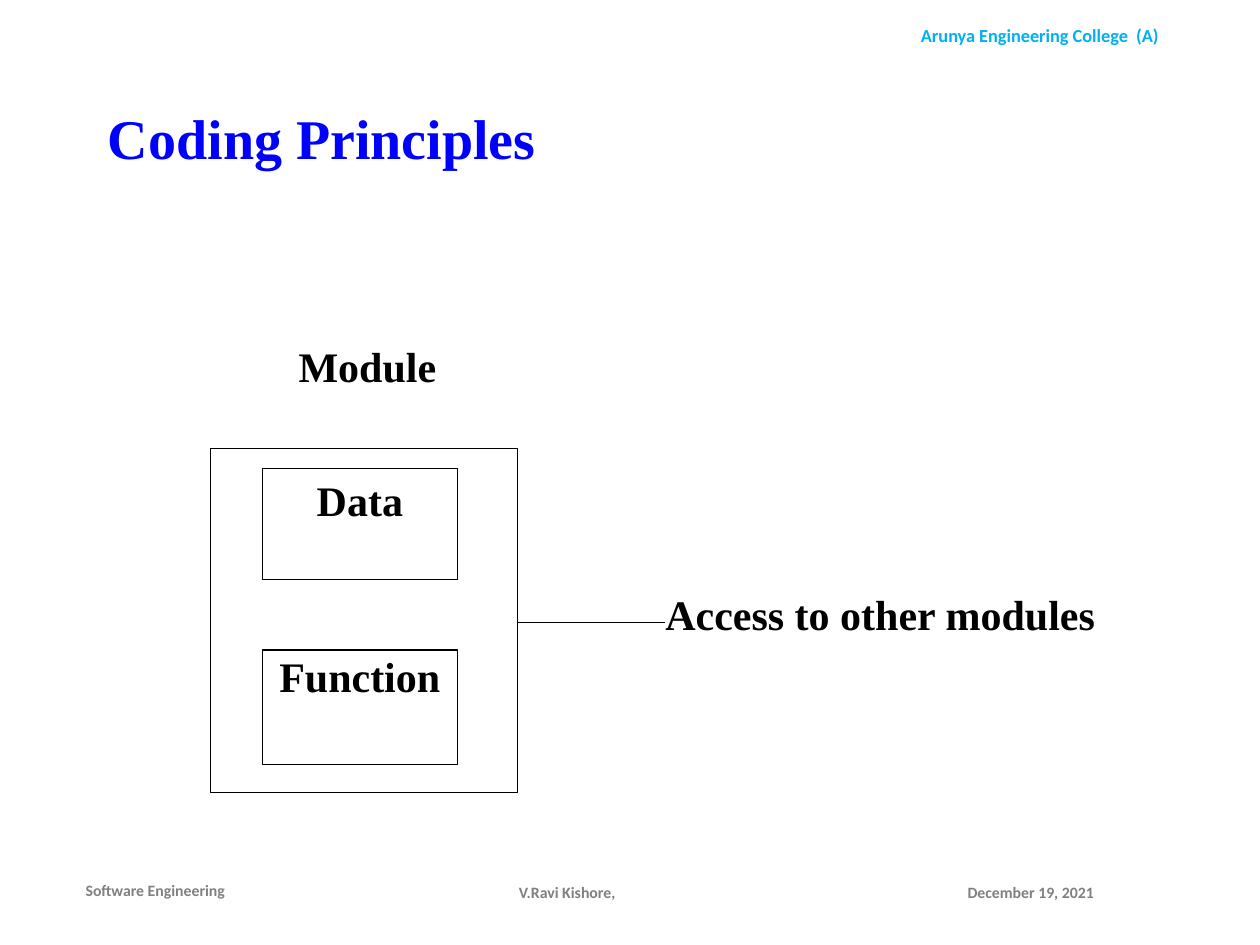
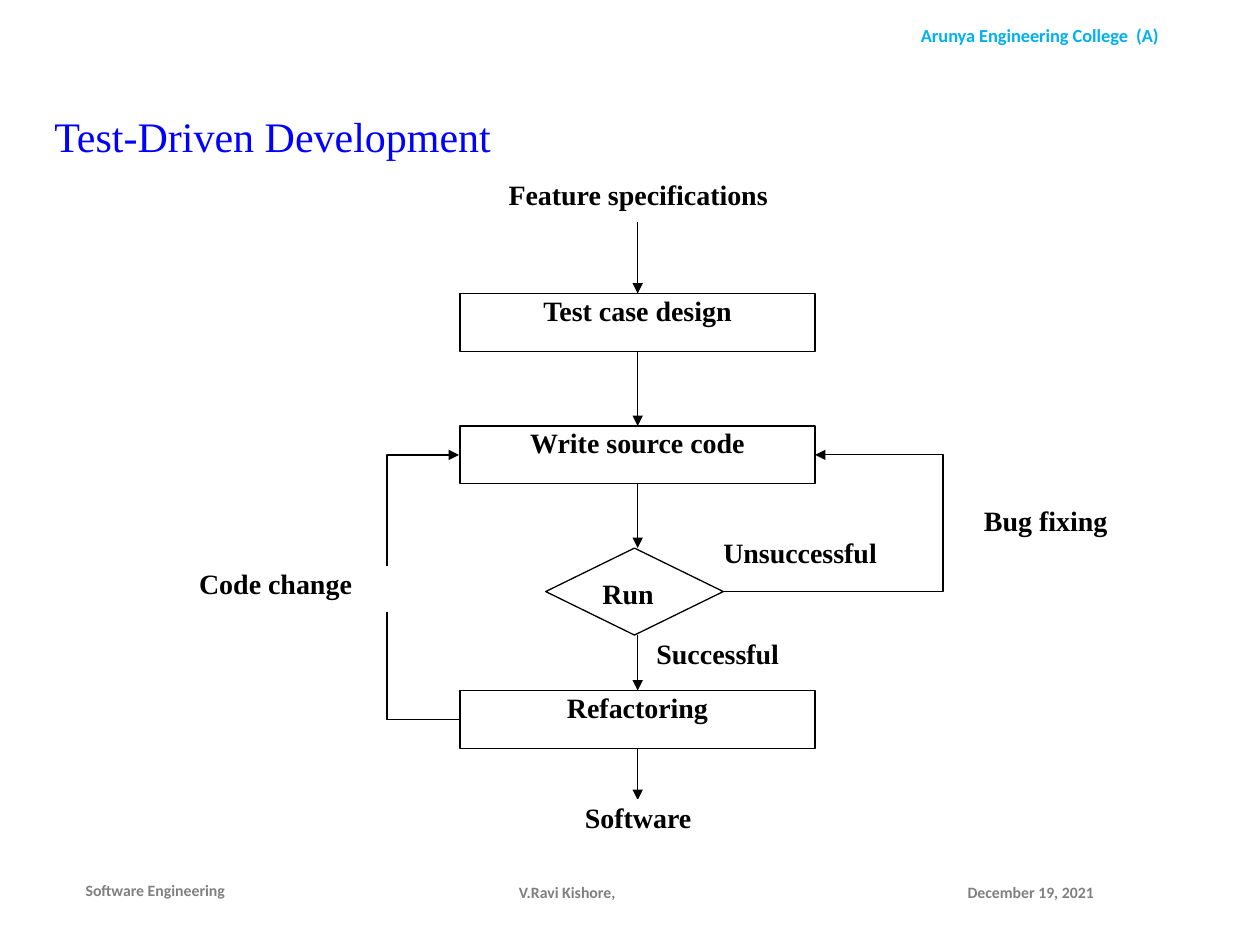
"""Two slides on coding principles and test-driven development."""
from dataclasses import dataclass
from itertools import pairwise

import lxml.etree
import pptx
import pptx.dml.color
import pptx.enum.shapes
import pptx.enum.text
import pptx.oxml.ns
import pptx.util

Pt = pptx.util.Pt
Align = pptx.enum.text.PP_ALIGN
Anchor = pptx.enum.text.MSO_ANCHOR
Preset = pptx.enum.shapes.MSO_SHAPE
Line = pptx.enum.shapes.MSO_CONNECTOR

BLACK, WHITE, GREY = "000000", "FFFFFF", "808080"
TITLE_BLUE, HEADER_BLUE = "0000FF", "00B0F0"
SERIF, SANS = "Times New Roman", "Calibri"
LINE_WIDTH = 0.75


@dataclass(frozen=True)
class Block:
    """A diagram box or label; lengths in points."""
    text: str
    left: float
    top: float
    width: float
    height: float
    outline: str = BLACK
    align: Align = Align.CENTER
    padded: bool = False
    preset: Preset = Preset.RECTANGLE

    @property
    def bottom(self) -> float:
        return self.top + self.height

    @property
    def middle(self) -> float:
        return self.top + self.height / 2

    @property
    def right(self) -> float:
        return self.left + self.width


@dataclass(frozen=True)
class Banner:
    """A header or footer text that every slide carries."""
    text: str
    left: float
    top: float
    width: float
    height: float
    size: float = 9
    color: str = GREY
    align: Align = Align.LEFT
    inset: float = 7.2


BANNERS = [
    Banner("Arunya Engineering College  (A)", 491, 10.1, 206.6, 20.2,
           10.5, HEADER_BLUE, Align.CENTER),
    Banner("Software Engineering", 43.9, 494.6, 113.8, 28.8,
           align=Align.JUSTIFY, inset=5),
    Banner("December 19, 2021", 545.8, 495.4, 124.6, 28.8),
    Banner("V.Ravi Kishore, ", 244.1, 495.4, 162, 28.8, align=Align.CENTER),
]


def rgb(color: str) -> pptx.dml.color.RGBColor:
    """Turn a hex string into a colour."""
    return pptx.dml.color.RGBColor.from_string(color)


def style(paragraph, size: float, color: str, face: str = SERIF,
          bold: bool = True, align: Align = Align.LEFT) -> None:
    """Format one paragraph."""
    font = paragraph.font
    font.name, font.size, font.bold = face, Pt(size), bold
    font.color.rgb = rgb(color)
    paragraph.alignment = align


def place(shape, left: float, top: float, width: float, height: float) -> None:
    """Move and size a shape."""
    shape.left, shape.top = Pt(left), Pt(top)
    shape.width, shape.height = Pt(width), Pt(height)


def add_page(deck, title: str, size: float, bold: bool, bounds: tuple,
             indent: float = 7.2, spacing: float = 1.0):
    """Add a title-only slide with its title, header and footers."""
    page = deck.slides.add_slide(deck.slide_layouts[5])
    place(page.shapes.title, *bounds)
    frame = page.shapes.title.text_frame
    frame.text = title
    frame.margin_left = Pt(indent)
    frame.vertical_anchor = Anchor.MIDDLE
    frame.paragraphs[0].line_spacing = spacing
    style(frame.paragraphs[0], size, TITLE_BLUE, bold=bold)
    for banner in BANNERS:
        box = page.shapes.add_textbox(Pt(banner.left), Pt(banner.top),
                                      Pt(banner.width), Pt(banner.height))
        frame = box.text_frame
        frame.word_wrap = True
        frame.vertical_anchor = Anchor.MIDDLE
        frame.margin_left = frame.margin_right = Pt(banner.inset)
        frame.text = banner.text
        style(frame.paragraphs[0], banner.size, banner.color, SANS,
              align=banner.align)
    return page


def add_block(page, block: Block, size: float, space_after: float = 0) -> None:
    """Draw a white box with its text at the top."""
    shape = page.shapes.add_shape(block.preset, Pt(block.left), Pt(block.top),
                                  Pt(block.width), Pt(block.height))
    shape.shadow.inherit = False
    shape.fill.solid()
    shape.fill.fore_color.rgb = rgb(WHITE)
    shape.line.color.rgb = rgb(block.outline)
    shape.line.width = Pt(LINE_WIDTH)
    if not block.text:
        return
    frame = shape.text_frame
    frame.word_wrap = True
    frame.vertical_anchor = Anchor.TOP
    if not block.padded:
        frame.margin_left = frame.margin_right = 0
        frame.margin_top = frame.margin_bottom = 0
    frame.text = block.text
    paragraph = frame.paragraphs[0]
    paragraph.space_after = Pt(space_after)
    style(paragraph, size, BLACK, align=block.align)


def add_line(page, start: tuple, end: tuple, arrow: bool = True,
             kind: Line = Line.STRAIGHT):
    """Draw a thin black connector, with an arrowhead at its end if wanted."""
    line = page.shapes.add_connector(kind, Pt(start[0]), Pt(start[1]),
                                     Pt(end[0]), Pt(end[1]))
    line.line.color.rgb = rgb(BLACK)
    line.line.width = Pt(LINE_WIDTH)
    qn = pptx.oxml.ns.qn
    if arrow:
        lxml.etree.SubElement(line.line._get_or_add_ln(), qn("a:tailEnd"),
                              type="triangle")
    lxml.etree.SubElement(line._element.spPr, qn("a:effectLst"))
    return line


def add_elbow(page, start: tuple, end: tuple, bend: float) -> None:
    """Draw a bent arrow whose upright part stands at x = bend."""
    half_turn = end[0] < start[0] and end[1] < start[1]
    corners = (end, start) if half_turn else (start, end)
    properties = add_line(page, *corners, kind=Line.ELBOW)._element.spPr
    if half_turn:
        properties.xfrm.set("rot", str(180 * 60000))
    qn = pptx.oxml.ns.qn
    guides = properties.find(qn("a:prstGeom")).find(qn("a:avLst"))
    share = (bend - start[0]) / (end[0] - start[0])
    lxml.etree.SubElement(guides, qn("a:gd"), name="adj1",
                          fmla=f"val {round(share * 100000)}")


def build_principles(deck) -> None:
    """Module with its data and function, open to other modules."""
    page = add_page(deck, "Coding Principles", 32, True,
                    (0, 28.8, 620.6, 104.4), indent=61.7, spacing=0.9)
    module = Block("", 120.2, 256.3, 175.7, 196.6)
    access = Block("Access to other modules", 380.2, 336.2, 255.6, 36,
                   WHITE, Align.LEFT)
    for block in (
        module,
        Block("Data", 149.8, 267.8, 111.6, 63.4, padded=True),
        Block("Function", 149.8, 371.5, 111.6, 65.5),
        access,
        Block("Module", 170.6, 194.4, 82.8, 47.5, WHITE, Align.LEFT),
    ):
        add_block(page, block, 24)
    add_line(page, (module.right, 355.7), (access.left, 355.7), arrow=False)


def build_test_driven(deck) -> None:
    """Flow from feature specifications to software, with two loops back."""
    page = add_page(deck, "Test-Driven Development", 24, False,
                    (23.8, 59.8, 272.2, 36))
    page.shapes.title.text_frame.word_wrap = False

    def step(text: str, top: float) -> Block:
        return Block(text, 262.8, top, 203, 33.1)

    def end_label(text: str, top: float, height: float) -> Block:
        return Block(text, 237.6, top, 254.2, height, WHITE)

    def side_label(text: str, left: float, top: float, width: float) -> Block:
        return Block(text, left, top, width, 25.2, WHITE, Align.LEFT)

    write, refactor = step("Write source code", 243.4), step("Refactoring", 394.6)
    run = Block("Run", 311.8, 313.2, 101.5, 49.7, align=Align.LEFT,
                padded=True, preset=Preset.DIAMOND)
    flow = [end_label("Feature specifications", 101.5, 25.2),
            step("Test case design", 167.8), write, run, refactor,
            end_label("Software", 457.2, 23)]
    labels = [side_label("Bug fixing", 562.3, 288, 110.2),
              side_label("Unsuccessful", 413.3, 306, 116.6),
              side_label("Successful", 375.1, 363.6, 90),
              side_label("Code change", 113.8, 324, 110.2)]

    center = 364.4
    for upper, lower in pairwise(flow):
        add_line(page, (center, upper.bottom), (center, lower.top))
    add_elbow(page, (run.right, run.middle), (write.right, write.middle), 539)
    # A small sideways step keeps the bend ratio of the left loop finite.
    add_elbow(page, (refactor.left, refactor.middle),
              (write.left - 0.5, write.middle), 222)
    for block in flow + labels:
        add_block(page, block, 16, space_after=10)


def main() -> None:
    """Build and save the deck."""
    deck = pptx.Presentation()
    deck.slide_width, deck.slide_height = Pt(720), Pt(540)
    build_principles(deck)
    build_test_driven(deck)
    deck.save("out.pptx")


main()
